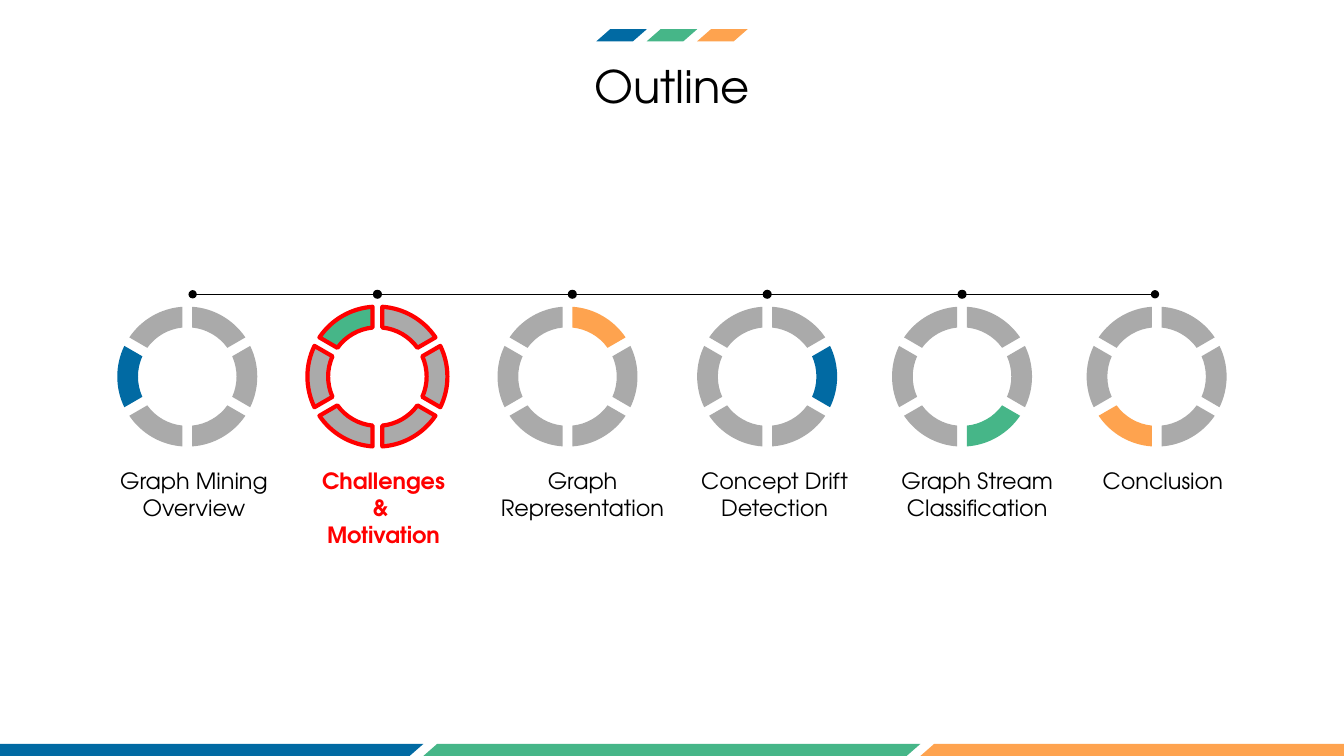
from dataclasses import dataclass
from math import asin, cos, pi, sin, tan

from lxml.etree import SubElement
from pptx import Presentation
from pptx.dml.color import RGBColor as RGB
from pptx.enum.shapes import MSO_CONNECTOR as CONNECTOR, MSO_SHAPE as SHAPE
from pptx.enum.text import MSO_ANCHOR as ANCHOR, MSO_AUTO_SIZE as FIT, PP_ALIGN as ALIGN
from pptx.oxml import parse_xml
from pptx.oxml.ns import nsdecls, qn
from pptx.util import Pt


@dataclass(frozen=True)
class Theme:
    font: str = "TeX Gyre Adventor"
    title_size: float = 32
    label_size: float = 16
    text: RGB = RGB(0, 0, 0)
    current: RGB = RGB(0xFF, 0, 0)
    idle: RGB = RGB(0xAA, 0xAA, 0xAA)
    accents: tuple = (RGB(0x01, 0x6A, 0xA3), RGB(0x46, 0xB6, 0x88),
                      RGB(0xFE, 0xA3, 0x4F))


THEME = Theme()
CURRENT_STEP = 1
RADIUS, HOLE, HALF_GAP = 50, 35.2, 3.5
LABEL_ROW = 19.4

# Ring centre, label left, label width, label rows, label lines
STEPS = [
    (133.8, 84.2, 108.7, 2, ["Graph Mining Overview"]),
    (269.6, 219.6, 108.7, 3, ["Challenges", "& ", "Motivation"]),
    (405.4, 356.4, 119.5, 2, ["Graph Representation"]),
    (548, 449.3, 208.1, 2, ["Concept Drift", "Detection"]),
    (687.2, 637.2, 121.7, 2, ["Graph Stream", "Classification"]),
    (826.2, 776.2, 108.7, 1, ["Conclusion"]),
]


def add_text(slide, lines, box, size, color=THEME.text, bold=False, anchor=ANCHOR.TOP):
    tf = slide.shapes.add_textbox(*map(Pt, box)).text_frame
    tf.word_wrap = True
    tf.auto_size = FIT.SHAPE_TO_FIT_TEXT
    tf.vertical_anchor = anchor
    tf.margin_left = tf.margin_right = tf.margin_top = tf.margin_bottom = 0
    for i, line in enumerate(lines):
        p = tf.add_paragraph() if i else tf.paragraphs[0]
        p.alignment = ALIGN.CENTER
        r = p.add_run()
        r.text = line
        r.font.name, r.font.size, r.font.bold = THEME.font, Pt(size), bold
        r.font.color.rgb = color


def paint(sp, fill, outline=None):
    sp.shadow.inherit = False
    sp.fill.solid()
    sp.fill.fore_color.rgb = fill
    if outline is None:
        sp.line.fill.background()
    else:
        sp.line.color.rgb = outline
        sp.line.width = Pt(3)
        SubElement(sp.line._get_or_add_ln(), qn("a:round"))


def add_stripes(slide, box):
    """Three slanted bars that share the width of the box."""
    left, top, width, height = box
    bar = width / len(THEME.accents)
    group = slide.shapes.add_group_shape()
    for i, color in enumerate(THEME.accents):
        sp = group.shapes.add_shape(SHAPE.PARALLELOGRAM, Pt(left + i * bar),
                                    Pt(top), Pt(bar), Pt(height))
        sp.adjustments[0] = 1.144
        paint(sp, color)


def add_timeline(slide, box, dot_size=6.5):
    """Thin line with round ends, and dots on the inner steps."""
    left, y, width, _ = box
    line = slide.shapes.add_connector(CONNECTOR.STRAIGHT, Pt(left), Pt(y),
                                      Pt(left + width), Pt(y))
    line.line.color.rgb = THEME.text
    line.line.width = Pt(0.5)
    ln = line.line._get_or_add_ln()
    for end in ("a:headEnd", "a:tailEnd"):
        SubElement(ln, qn(end), type="oval")
    SubElement(line._element.spPr, qn("a:effectLst"))

    first, last = STEPS[1][0], STEPS[4][0]
    for i in range(4):
        x = first + i * (last - first) / 3
        dot = slide.shapes.add_shape(SHAPE.OVAL, Pt(x - dot_size / 2),
                                     Pt(y - dot_size / 2), Pt(dot_size), Pt(dot_size))
        paint(dot, THEME.text)


def add_segment(group, cx, cy, n):
    """One ring segment: outer arc, then inner arc back, with an even gap."""
    def point(radius, angle, pull=0):
        return (Pt(cx + radius * (cos(angle) - pull * sin(angle))),
                Pt(cy + radius * (sin(angle) + pull * cos(angle))))

    # Side segments need a middle node, where the arc is widest
    turns = (-1, 0, 1) if n % 3 == 0 else (-1, 1)
    nodes = []
    for radius, way in ((RADIUS, 1), (HOLE, -1)):
        half = pi / 6 - asin(HALF_GAP / radius)
        nodes += [(radius, n * pi / 3 + way * turn * half) for turn in turns]
    start, *rest = [point(*node) for node in nodes]
    builder = group.shapes.build_freeform(*start, scale=1.0)
    builder.add_line_segments(rest, close=True)
    sp = builder.convert_to_shape()

    # Bend the lines that stay on one radius into curves
    lines = list(sp._element.iter(qn("a:lnTo")))
    for (radius, a), (next_radius, b), line in zip(nodes, nodes[1:], lines):
        if radius == next_radius:
            pull = 4 / 3 * tan((b - a) / 4)
            curve = parse_xml(f"<a:cubicBezTo {nsdecls('a')}/>")
            for x, y in (point(radius, a, pull), point(radius, b, -pull)):
                SubElement(curve, qn("a:pt"), x=str(x - sp.left), y=str(y - sp.top))
            curve.append(line[0])
            line.getparent().replace(line, curve)
    return sp


def add_ring(slide, box, step):
    """Six segments clockwise from the right; the step's own one is coloured."""
    left, top, width, height = box
    group = slide.shapes.add_group_shape()
    for n in range(6):
        own = n == (step + 3) % 6
        paint(add_segment(group, left + width / 2, top + height / 2, n),
              THEME.accents[step % 3] if own else THEME.idle,
              THEME.current if step == CURRENT_STEP else None)


def add_steps(slide, box):
    """Row of rings at the top of the box, with labels at its bottom."""
    _, top, _, height = box
    for i, (cx, *_) in enumerate(STEPS):
        add_ring(slide, (cx - RADIUS, top, 2 * RADIUS, 2 * RADIUS), i)
    label_top = top + height - 3 * LABEL_ROW
    for i, (_, left, width, rows, lines) in enumerate(STEPS):
        current = i == CURRENT_STEP
        add_text(slide, lines, (left, label_top, width, rows * LABEL_ROW),
                 THEME.label_size, bold=current,
                 color=THEME.current if current else THEME.text)


def outline_slide(prs):
    slide = prs.slides.add_slide(prs.slide_layouts[6])
    # Title
    add_text(slide, ["Outline"], (272.9, 41.8, 414.7, 38.9), THEME.title_size,
             anchor=ANCHOR.MIDDLE)
    # Steps
    add_timeline(slide, (137.6, 210.2, 687.4, 0))
    # Footer and title accent
    add_stripes(slide, (-52.6, 531.4, 1065, 8.6))
    add_steps(slide, (83.8, 219, 801.1, 173))
    add_stripes(slide, (426, 20.9, 108, 8.6))


def main():
    prs = Presentation()
    prs.slide_width, prs.slide_height = Pt(960), Pt(540)
    outline_slide(prs)
    prs.save("out.pptx")


if __name__ == "__main__":
    main()
